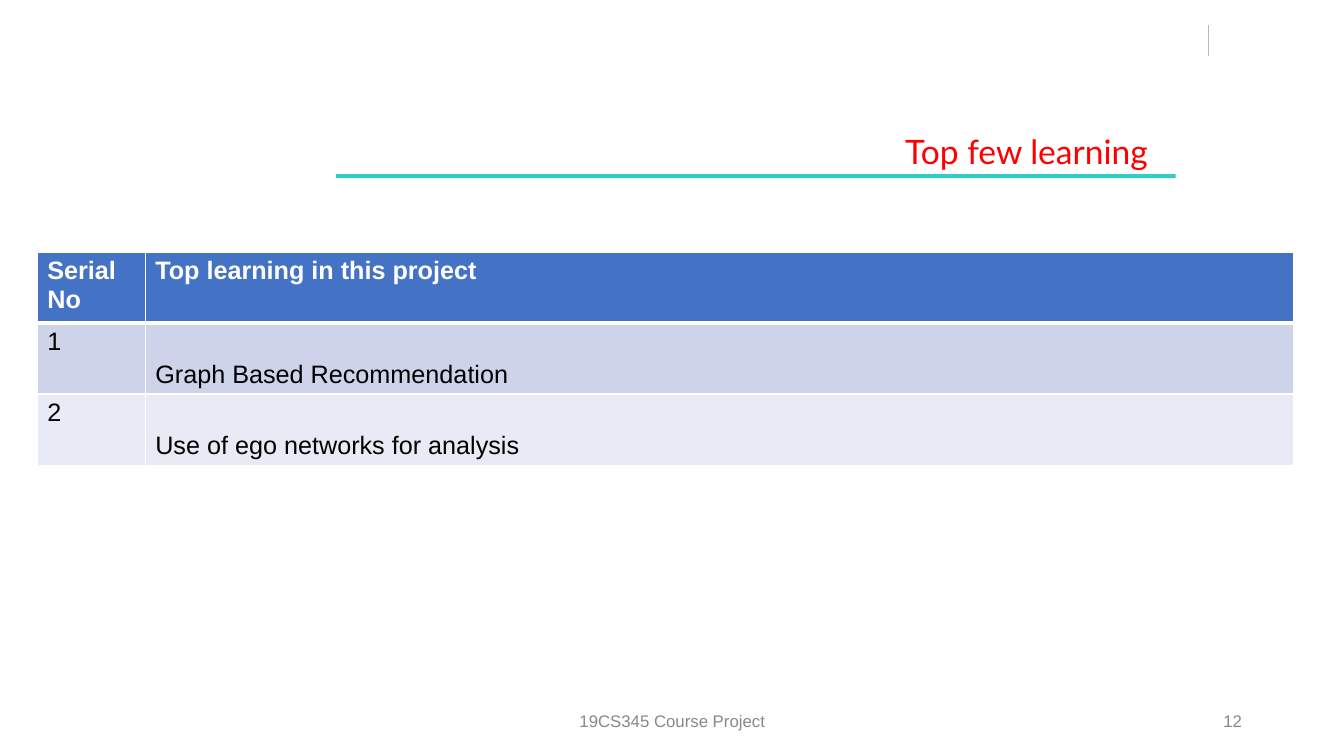
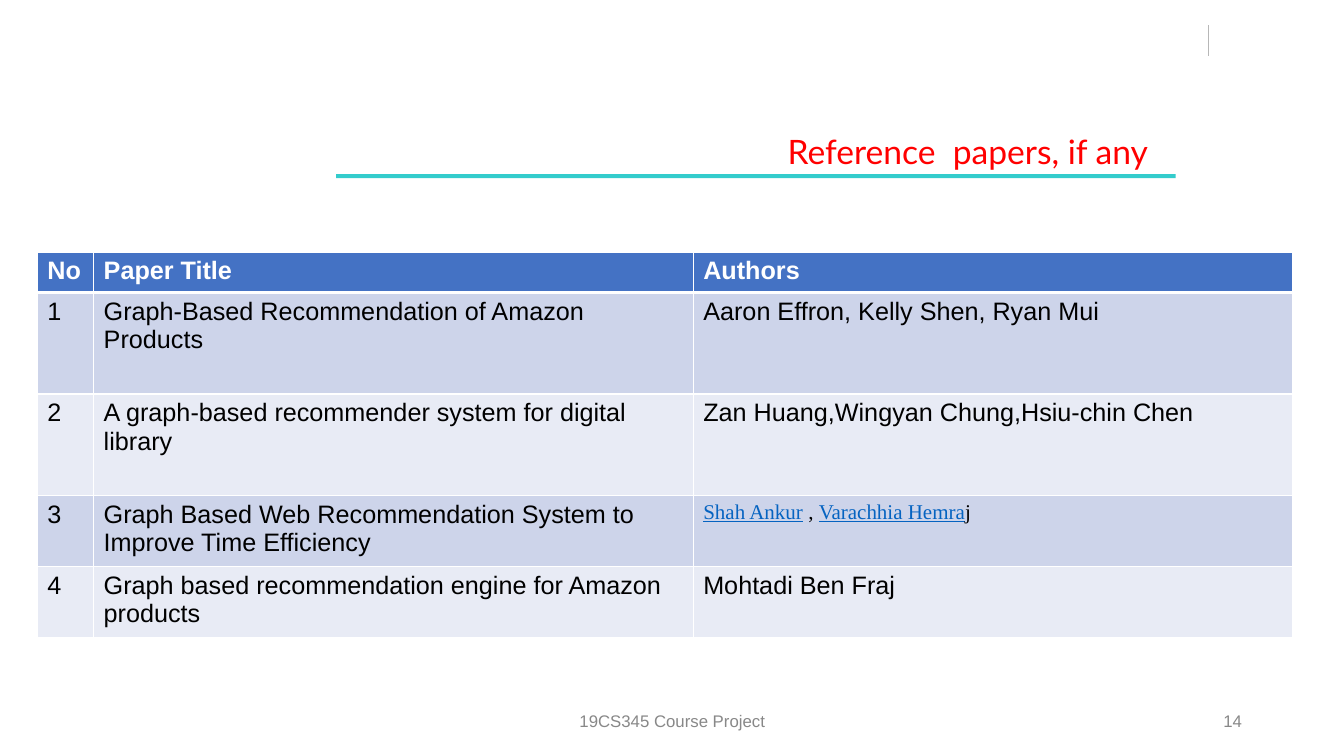
import pptx
import pptx.dml.color
import pptx.enum.shapes
import pptx.enum.text
import pptx.oxml
import pptx.oxml.ns
import pptx.util

Cm = pptx.util.Cm
Pt = pptx.util.Pt
RGBColor = pptx.dml.color.RGBColor
Align = pptx.enum.text.PP_ALIGN
Anchor = pptx.enum.text.MSO_ANCHOR

RED = RGBColor(0xFF, 0x00, 0x00)
TEAL = RGBColor(0x33, 0xCC, 0xCC)
BLACK = RGBColor(0x00, 0x00, 0x00)
WHITE = RGBColor(0xFF, 0xFF, 0xFF)
GREY = RGBColor(0x88, 0x88, 0x88)
RULE_GREY = RGBColor(0xB7, 0xB7, 0xB7)
HEADER_BLUE = RGBColor(0x44, 0x72, 0xC4)
BAND_DARK = RGBColor(0xCD, 0xD4, 0xEA)
BAND_LIGHT = RGBColor(0xE8, 0xEB, 0xF5)
LINK_BLUE = RGBColor(0x05, 0x63, 0xC1)

BODY_FONT = "Arial"
TITLE_FONT = "Lato"
SERIF_FONT = "Times New Roman"
TITLE_ONLY = 5
TABLE_LEFT, TABLE_TOP = 0.94, 6.35
LINE_ROW, TWO_LINE_ROW, TALL_ROW = 1.02, 1.79, 2.56

LINKED_NAME = {"color": LINK_BLUE, "underline": True}
LINKED_AUTHORS = [
    ("Shah Ankur", LINKED_NAME),
    (" , ", {}),
    ("Varachhia Hemra", LINKED_NAME),
    ("j", {}),
]


def write_text(frame, text, size=18, font=BODY_FONT, color=BLACK, bold=False,
               align=Align.LEFT, anchor=Anchor.TOP):
    """Fill a text frame with lines of a string, or with (text, format) runs."""
    frame.word_wrap = True
    frame.vertical_anchor = anchor
    lines = [[(line, {})] for line in text.split("\n")] if isinstance(text, str) else [text]
    for index, pieces in enumerate(lines):
        paragraph = frame.add_paragraph() if index else frame.paragraphs[0]
        paragraph.alignment = align
        for words, changes in pieces:
            run = paragraph.add_run()
            run.text = words
            run.font.name = font
            run.font.size = Pt(size)
            run.font.bold = bold
            run.font.underline = changes.get("underline", False)
            run.font.color.rgb = changes.get("color", color)


def add_title(slide, text):
    """Place the red title above its teal bar."""
    title = slide.shapes.title
    title.left, title.top, title.width, title.height = Cm(8.05), Cm(3.18), Cm(21.59), Cm(1.27)
    write_text(title.text_frame, text, size=24, font=TITLE_FONT, color=RED, align=Align.RIGHT)
    title.text_frame.auto_size = pptx.enum.text.MSO_AUTO_SIZE.NONE
    title.text_frame.margin_right = Cm(0.71)
    bar = slide.shapes.add_shape(pptx.enum.shapes.MSO_SHAPE.RECTANGLE,
                                 Cm(8.47), Cm(4.39), Cm(21.16), Cm(0.1))
    bar.shadow.inherit = False
    bar.fill.solid()
    bar.fill.fore_color.rgb = TEAL
    bar.line.fill.background()


def add_corner_rule(slide):
    """Draw the short vertical rule at the top right."""
    rule = slide.shapes.add_connector(pptx.enum.shapes.MSO_CONNECTOR.STRAIGHT,
                                      Cm(30.45), Cm(0.64), Cm(30.45), Cm(1.4))
    rule.line.color.rgb = RULE_GREY
    rule.line.width = Pt(0.75)
    rule._element.spPr.append(pptx.oxml.parse_xml(
        f"<a:effectLst {pptx.oxml.ns.nsdecls('a')}/>"))


def add_footer_text(slide, text, left, width, align):
    """Add one grey text on the footer line."""
    footer = slide.shapes.add_textbox(Cm(left), Cm(17.65), Cm(width), Cm(1.02))
    write_text(footer.text_frame, text, size=12, color=GREY, align=align, anchor=Anchor.MIDDLE)


def add_content_slide(deck, title, number):
    """Start a slide with the title, rule and footer that all slides share."""
    slide = deck.slides.add_slide(deck.slide_layouts[TITLE_ONLY])
    add_corner_rule(slide)
    add_title(slide, title)
    add_footer_text(slide, "19CS345 Course Project", 11.23, 11.43, Align.CENTER)
    add_footer_text(slide, str(number), 23.93, 7.62, Align.RIGHT)
    return slide


def set_borders(cell, top, bottom):
    """Give a cell white borders, with the top and bottom widths in points."""
    properties = cell._tc.get_or_add_tcPr()
    for side, width in (("L", 1), ("R", 1), ("T", top), ("B", bottom)):
        properties.append(pptx.oxml.parse_xml(
            f'<a:ln{side} {pptx.oxml.ns.nsdecls("a")} w="{Pt(width)}"><a:solidFill>'
            f'<a:srgbClr val="{WHITE}"/></a:solidFill></a:ln{side}>'))


def add_banded_table(slide, rows, widths, heights, bottom_columns=()):
    """Add a table with a blue header row and two alternating row colours."""
    table = slide.shapes.add_table(len(rows), len(widths), Cm(TABLE_LEFT), Cm(TABLE_TOP),
                                   Cm(sum(widths)), Cm(sum(heights))).table
    for column, width in zip(table.columns, widths):
        column.width = Cm(width)
    for r, (texts, height) in enumerate(zip(rows, heights)):
        table.rows[r].height = Cm(height)
        header = r == 0
        for c, text in enumerate(texts):
            cell = table.cell(r, c)
            set_borders(cell, top=3 if r == 1 else 1, bottom=3 if header else 1)
            cell.fill.solid()
            cell.fill.fore_color.rgb = (
                HEADER_BLUE if header else BAND_DARK if r % 2 else BAND_LIGHT)
            linked = not isinstance(text, str)
            write_text(cell.text_frame, text, bold=header,
                       color=WHITE if header else BLACK,
                       size=15 if linked else 18,
                       font=SERIF_FONT if linked else BODY_FONT)
            if c in bottom_columns and not header:
                cell.vertical_anchor = Anchor.BOTTOM


def main():
    """Build and save both slides."""
    deck = pptx.Presentation()
    deck.slide_width, deck.slide_height = Cm(33.87), Cm(19.05)

    learning = add_content_slide(deck, "Top few learning", 12)
    add_banded_table(learning, [
        ("Serial\nNo", "Top learning in this project"),
        ("1", "Graph Based Recommendation"),
        ("2", "Use of ego networks for analysis"),
    ], widths=[2.72, 28.93], heights=[TWO_LINE_ROW] * 3, bottom_columns=(1,))

    references = add_content_slide(deck, "Reference  papers, if any", 14)
    add_banded_table(references, [
        ("No", "Paper Title", "Authors"),
        ("1", "Graph-Based Recommendation of Amazon Products",
         "Aaron Effron, Kelly Shen, Ryan Mui"),
        ("2", "A graph-based recommender system for digital library",
         "Zan Huang,Wingyan Chung,Hsiu-chin Chen"),
        ("3", "Graph Based Web Recommendation System to Improve Time Efficiency",
         LINKED_AUTHORS),
        ("4", "Graph based recommendation engine for Amazon products", "Mohtadi Ben Fraj"),
    ], widths=[1.42, 15.11, 15.11],
        heights=[LINE_ROW, TALL_ROW, TALL_ROW, TWO_LINE_ROW, TWO_LINE_ROW])

    deck.save("out.pptx")


if __name__ == "__main__":
    main()
